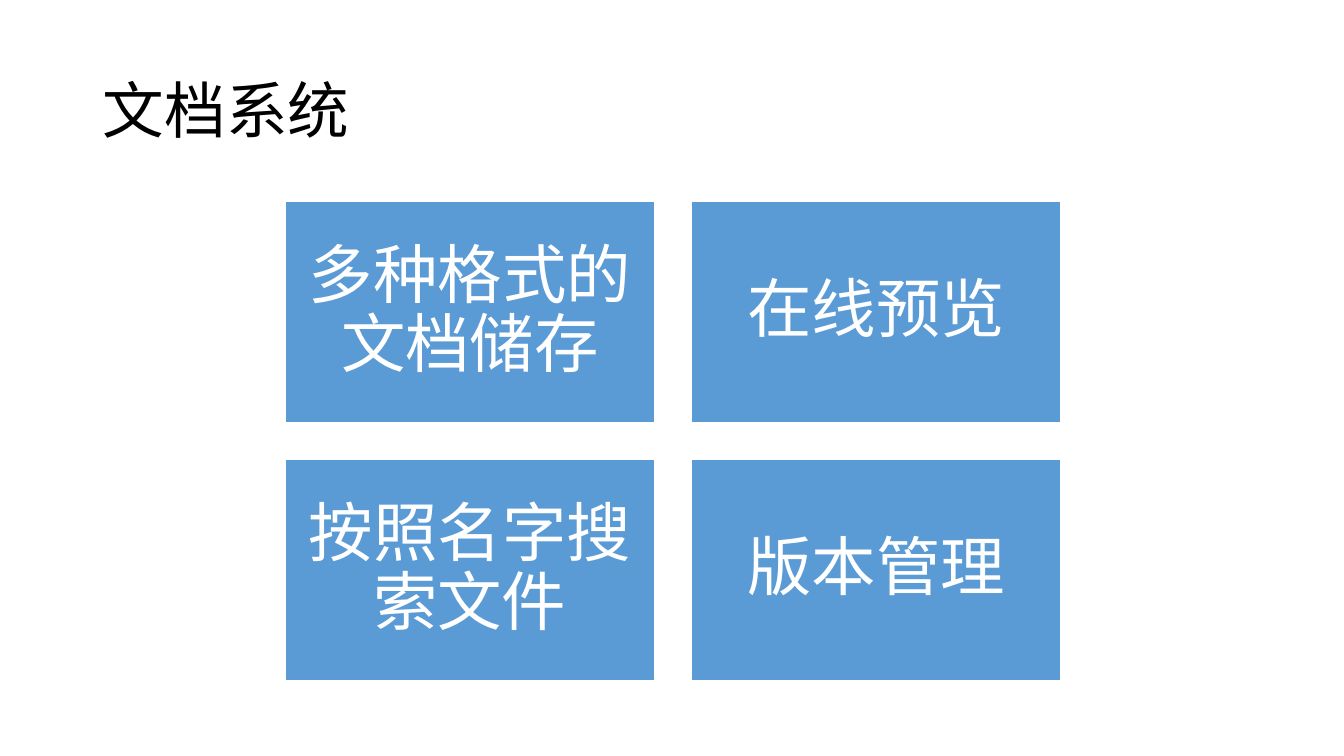
from dataclasses import dataclass

from lxml import etree
from pptx import Presentation
from pptx.dml.color import RGBColor
from pptx.enum.shapes import MSO_SHAPE
from pptx.enum.text import MSO_ANCHOR, MSO_AUTO_SIZE, PP_ALIGN
from pptx.oxml.ns import qn
from pptx.util import Inches, Pt

RECT = MSO_SHAPE.RECTANGLE
MIDDLE = MSO_ANCHOR.MIDDLE
NO_FIT = MSO_AUTO_SIZE.NONE
LEFT, CENTER = PP_ALIGN.LEFT, PP_ALIGN.CENTER
TITLE_ONLY = 5


@dataclass(frozen=True)
class Theme:
    """Colours, font and type sizes of the slide."""
    font: str = "Noto Sans CJK SC"
    ink: str = "000000"
    paper: str = "FFFFFF"
    accent: str = "5B9BD5"
    title_size: int = 44
    card_size: int = 46
    line_spacing: float = 0.9


class Deck:
    """Holds the theme and the current slide."""

    def __init__(self, prs, theme):
        """Add a title-only slide to the presentation."""
        self.theme = theme
        self.slide = prs.slides.add_slide(prs.slide_layouts[TITLE_ONLY])

    def set_text(self, sp, text, size, color, align, inset):
        """Put one formatted paragraph into a shape."""
        tf = sp.text_frame
        tf.word_wrap = True
        tf.auto_size = NO_FIT
        tf.vertical_anchor = MIDDLE
        tf.margin_left = tf.margin_right = Inches(inset)
        tf.margin_top = tf.margin_bottom = Inches(inset)
        p = tf.paragraphs[0]
        p.alignment = align
        p.line_spacing = self.theme.line_spacing
        r = p.add_run()
        r.text = text
        r.font.size = Pt(size)
        r.font.name = self.theme.font
        r.font.color.rgb = RGBColor.from_string(color)
        ea = etree.Element(qn("a:ea"), typeface=self.theme.font)
        r.font._element.find(qn("a:latin")).addnext(ea)

    def title(self, text, left, top, width, height):
        """Place and fill the title placeholder."""
        sp = self.slide.shapes.title
        sp.left, sp.top = Inches(left), Inches(top)
        sp.width, sp.height = Inches(width), Inches(height)
        self.set_text(sp, text, self.theme.title_size, self.theme.ink, LEFT, 0.1)

    def card(self, text, left, top, width, height):
        """Add a filled rectangle with centred text."""
        sp = self.slide.shapes.add_shape(
            RECT, Inches(left), Inches(top), Inches(width), Inches(height))
        sp.shadow.inherit = False
        sp.fill.solid()
        sp.fill.fore_color.rgb = RGBColor.from_string(self.theme.accent)
        sp.line.color.rgb = RGBColor.from_string(self.theme.paper)
        sp.line.width = Pt(1)
        self.set_text(sp, text, self.theme.card_size, self.theme.paper, CENTER, 0.19)

    def card_grid(self, texts, left, top, width, height, gap, columns):
        """Lay cards out row by row with equal gaps."""
        for i, text in enumerate(texts):
            row, col = divmod(i, columns)
            self.card(text, left + col * (width + gap),
                      top + row * (height + gap), width, height)


def main():
    """Build and save the document system slide."""
    prs = Presentation()
    prs.slide_width, prs.slide_height = Inches(13.33), Inches(7.5)
    deck = Deck(prs, Theme())
    deck.title("文档系统", 0.92, 0.4, 11.5, 1.45)
    features = ["多种格式的文档储存", "在线预览", "按照名字搜索文件", "版本管理"]
    deck.card_grid(features, left=2.83, top=2, width=3.66, height=2.19,
                   gap=0.37, columns=2)
    prs.save("out.pptx")


main()
